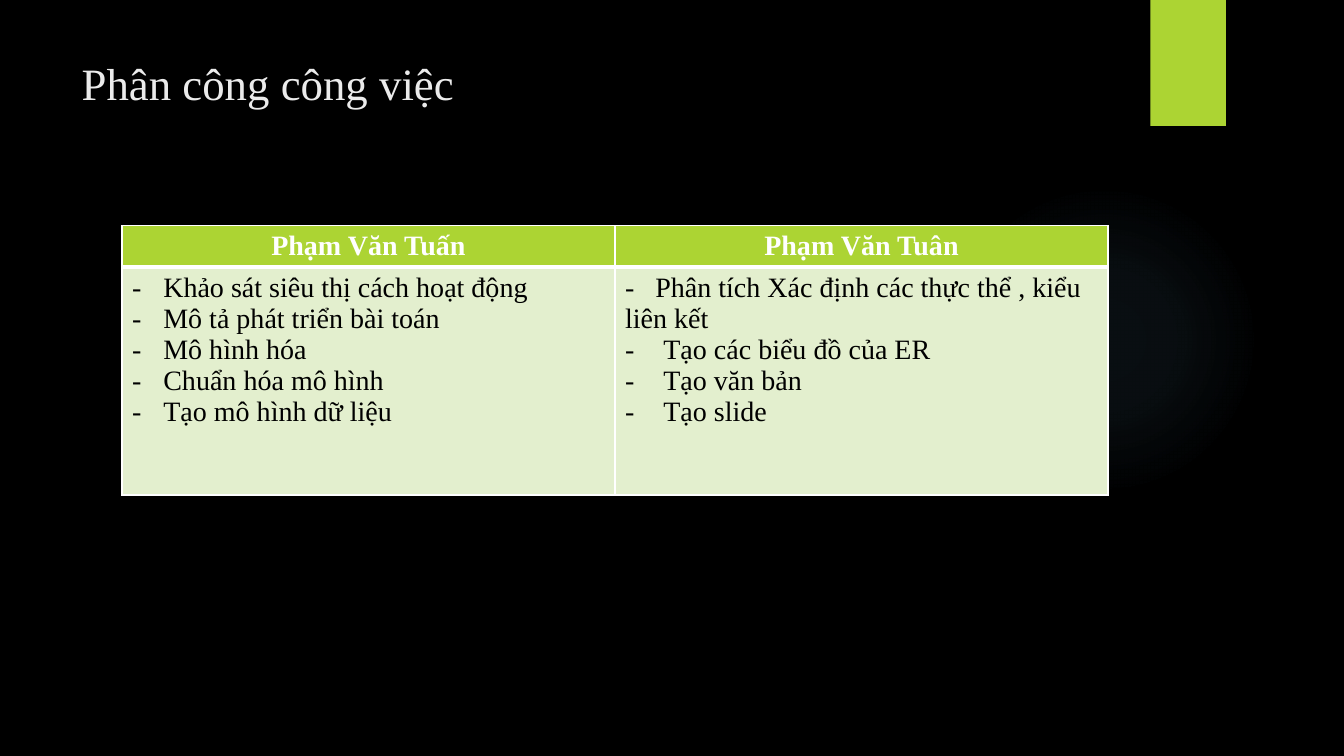
from lxml.etree import SubElement
from pptx import Presentation
from pptx.dml.color import RGBColor
from pptx.enum.shapes import MSO_SHAPE as Shape
from pptx.enum.text import MSO_ANCHOR as Anchor, PP_ALIGN as Align
from pptx.oxml.ns import qn
from pptx.util import Inches, Pt

FONT = "Times New Roman"
COLORS = {
    "night": "000000", "lime": "ACD433", "pale": "E3EFCE",
    "white": "FFFFFF", "title": "EBEBEB", "glow": "7AC4F0",
}
DUTIES = [
    ("Phạm Văn Tuấn", 0.31, [
        "Khảo sát siêu thị cách hoạt động",
        "Mô tả phát triển bài toán",
        "Mô hình hóa",
        "Chuẩn hóa mô hình",
        "Tạo mô hình dữ liệu",
    ]),
    ("Phạm Văn Tuân", 0.38, [
        "-\tPhân tích Xác định các thực thể , kiểu liên kết",
        "Tạo các biểu đồ của ER",
        "Tạo văn bản",
        "Tạo slide",
    ]),
]


def rgb(color):
    return RGBColor.from_string(COLORS[color])


def add(parent, tag, **attributes):
    return SubElement(parent, qn(tag), {key: str(value) for key, value in attributes.items()})


def write(paragraph, text, size=20, color="night", bold=False, align=Align.LEFT, hang=0):
    paragraph.alignment = align
    run = paragraph.add_run()
    run.text = text
    run.font.name = FONT
    run.font.size = Pt(size)
    run.font.bold = bold
    run.font.color.rgb = rgb(color)
    properties = paragraph._p.get_or_add_pPr()
    if "\t" in text:
        add(add(properties, "a:tabLst"), "a:tab", pos=Inches(0.3), algn="l")
    elif hang:
        properties.set("marL", str(Inches(hang)))
        properties.set("indent", str(-Inches(hang)))
        add(properties, "a:buFont", typeface=FONT)
        add(properties, "a:buChar", char="-")


def add_plain(slide, kind, box):
    shape = slide.shapes.add_shape(kind, *map(Inches, box))
    shape.shadow.inherit = False
    shape.line.fill.background()
    return shape


def add_backdrop(slide, left, top, width, height):
    slide.background.fill.solid()
    slide.background.fill.fore_color.rgb = rgb("night")

    glow = add_plain(slide, Shape.OVAL, (left + width - 3.92, top + 1.83, 3.08, 3.08))
    glow.fill.background()
    no_fill = glow._element.spPr.find(qn("a:noFill"))
    gradient = add(glow._element.spPr, "a:gradFill", rotWithShape=1)
    no_fill.getparent().replace(no_fill, gradient)
    stops = add(gradient, "a:gsLst")
    for position, opacity in [(0, 7), (36, 6), (69, 0)]:
        stop = add(stops, "a:gs", pos=position * 1000)
        tint = add(stop, "a:srgbClr", val=COLORS["glow"])
        add(tint, "a:alpha", val=opacity * 1000)
    center = add(gradient, "a:path", path="circle")
    add(center, "a:fillToRect", **dict.fromkeys("ltrb", 50000))

    ribbon = add_plain(slide, Shape.RECTANGLE, (left + width - 1.92, top, 0.75, 1.25))
    ribbon.fill.solid()
    ribbon.fill.fore_color.rgb = rgb("lime")


def add_title(slide, left, top, width, height):
    title = slide.shapes.title
    title.left, title.top, title.width, title.height = map(Inches, (left, top, width, height))
    title.text_frame.vertical_anchor = Anchor.TOP
    write(title.text_frame.paragraphs[0], "Phân công công việc", size=32, color="title")


def style_cell(cell, fill, bottom=1):
    properties = cell._tc.get_or_add_tcPr()
    for side, points in [("L", 1), ("R", 1), ("T", 1), ("B", bottom)]:
        border = add(properties, f"a:ln{side}", w=Pt(points))
        add(add(border, "a:solidFill"), "a:srgbClr", val=COLORS["white"])
    cell.fill.solid()
    cell.fill.fore_color.rgb = rgb(fill)


def add_duties(slide, left, top, width, height):
    frame = slide.shapes.add_table(2, len(DUTIES), *map(Inches, (left, top, width, height)))
    table = frame.table
    header_height = 0.41
    table.rows[0].height = Inches(header_height)
    table.rows[1].height = Inches(height - header_height)
    for column, (member, hang, tasks) in enumerate(DUTIES):
        table.columns[column].width = Inches(width / len(DUTIES))
        header, body = table.cell(0, column), table.cell(1, column)
        style_cell(header, "lime", bottom=3)
        style_cell(body, "pale")
        write(header.text_frame.paragraphs[0], member,
              color="white", bold=True, align=Align.CENTER)
        for index, task in enumerate(tasks):
            text = body.text_frame
            paragraph = text.add_paragraph() if index else text.paragraphs[0]
            write(paragraph, task, hang=hang)


deck = Presentation()
deck.slide_width, deck.slide_height = Inches(13.33), Inches(7.5)
slide = deck.slides.add_slide(deck.slide_layouts[5])
add_backdrop(slide, 0, 0, 13.33, 7.5)
add_title(slide, 0.71, 0.5, 6.01, 0.73)
add_duties(slide, 1.21, 2.24, 9.78, 2.67)
deck.save("out.pptx")
